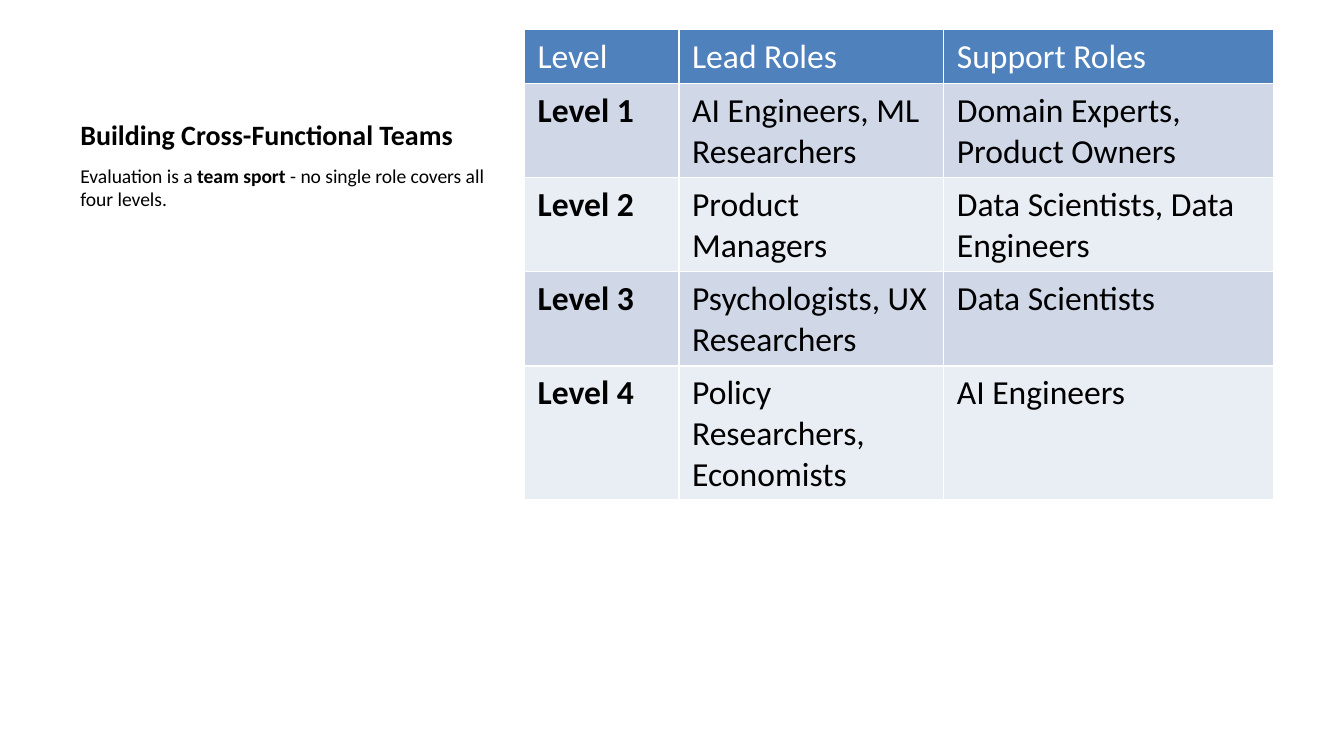
from pptx import Presentation
from pptx.dml.color import RGBColor
from pptx.enum.text import MSO_ANCHOR
from pptx.util import Inches, Pt

TOP, BOTTOM = MSO_ANCHOR.TOP, MSO_ANCHOR.BOTTOM
FONT = "Calibri"
COLORS = {
    "text": "000000",
    "header_text": "FFFFFF",
    "header": "4F81BD",
    "odd_row": "D0D8E8",
    "even_row": "E9EDF4",
}
COLUMN_WIDTHS = [1.15, 1.97, 2.46]
ROLES = [
    ("Level", "Lead Roles", "Support Roles"),
    ("Level 1", "AI Engineers, ML Researchers", "Domain Experts, Product Owners"),
    ("Level 2", "Product Managers", "Data Scientists, Data Engineers"),
    ("Level 3", "Psychologists, UX Researchers", "Data Scientists"),
    ("Level 4", "Policy Researchers, Economists", "AI Engineers"),
]


def add_span(para, text, size=18, bold=False, color="text"):
    span = para.add_run()
    span.text = text
    span.font.name = FONT
    span.font.size = Pt(size)
    span.font.bold = bold
    span.font.color.rgb = RGBColor.from_string(COLORS[color])


def add_text_box(slide, left, top, width, height, anchor):
    """Add a wrapping text box and return its first paragraph."""
    box = slide.shapes.add_textbox(
        Inches(left), Inches(top), Inches(width), Inches(height))
    box.text_frame.word_wrap = True
    box.text_frame.vertical_anchor = anchor
    return box.text_frame.paragraphs[0]


def add_intro(slide, left, top, width, height):
    # Title sits on the bottom edge of its box, directly above the body
    title_height = 0.95
    title = add_text_box(slide, left, top, width, title_height, BOTTOM)
    add_span(title, "Building Cross-Functional Teams", size=15, bold=True)

    body = add_text_box(slide, left, top + title_height, width,
                        height - title_height, TOP)
    add_span(body, "Evaluation is a ", size=10.5)
    add_span(body, "team sport", size=10.5, bold=True)
    add_span(body, " - no single role covers all four levels.", size=10.5)


def add_roles_table(slide, left, top, width, height):
    # The default table style supplies the white borders
    table = slide.shapes.add_table(
        len(ROLES), len(COLUMN_WIDTHS), Inches(left), Inches(top),
        Inches(width), Inches(height)).table
    for column, share in zip(table.columns, COLUMN_WIDTHS):
        column.width = Inches(width * share / sum(COLUMN_WIDTHS))

    for i, row in enumerate(table.rows):
        row.height = 0  # each row grows to fit its text
        is_header = i == 0
        fill = "header" if is_header else "odd_row" if i % 2 else "even_row"
        for j, cell in enumerate(row.cells):
            cell.fill.solid()
            cell.fill.fore_color.rgb = RGBColor.from_string(COLORS[fill])
            add_span(cell.text_frame.paragraphs[0], ROLES[i][j],
                     bold=j == 0 and not is_header,
                     color="header_text" if is_header else "text")


def main():
    deck = Presentation()
    deck.slide_width = Inches(10)
    deck.slide_height = deck.slide_width * 9 // 16
    slide = deck.slides.add_slide(deck.slide_layouts[6])
    add_intro(slide, 0.5, 0.22, 3.29, 4.8)
    add_roles_table(slide, 3.9, 0.22, 5.58, 4.79)
    deck.save("out.pptx")


if __name__ == "__main__":
    main()
